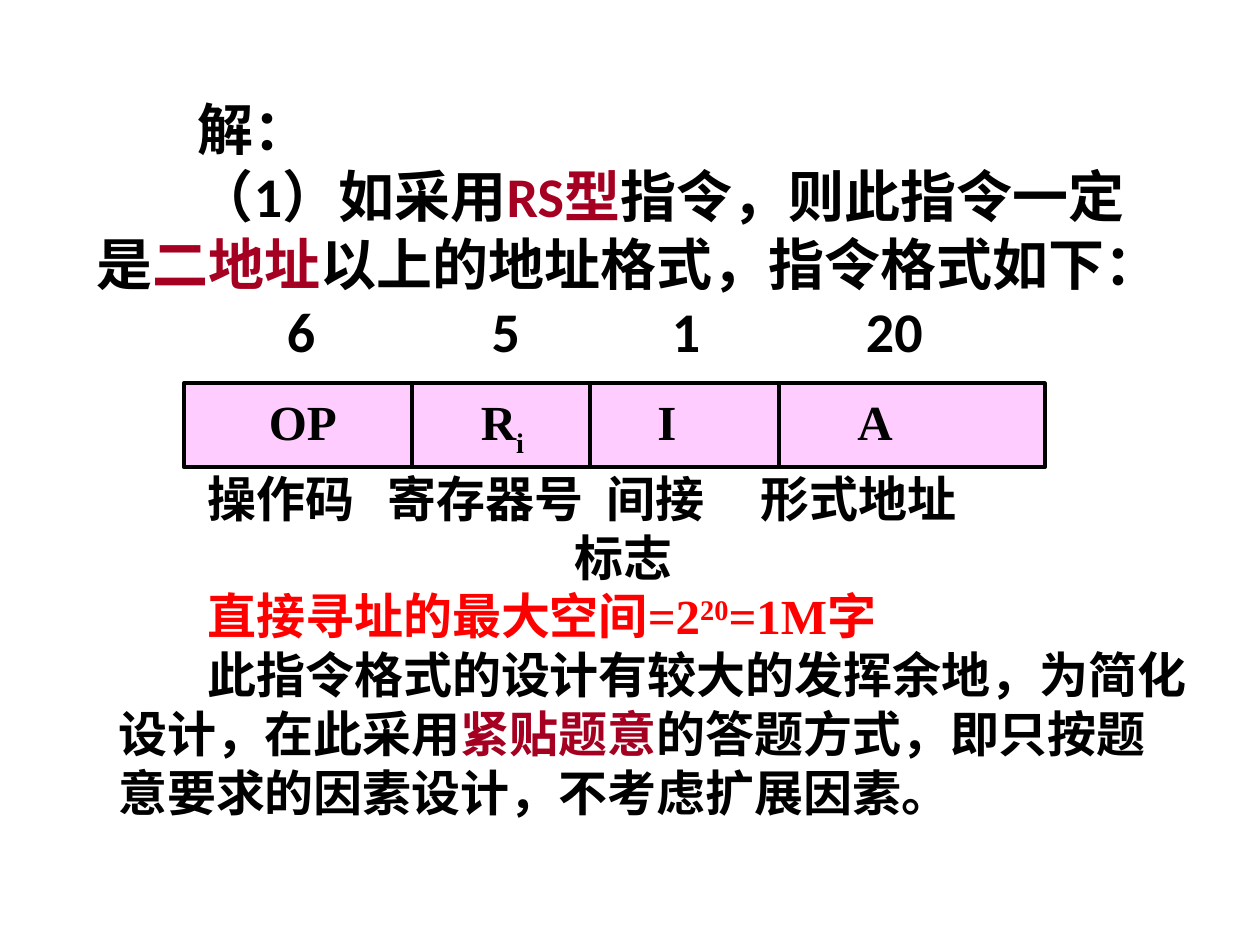
from lxml import etree
from pptx import Presentation
from pptx.dml.color import RGBColor
from pptx.enum import shapes, text
from pptx.oxml import ns
from pptx.util import Pt

COLORS = {"black": "000000", "crimson": "A50021", "red": "FF0000",
          "pink": "FFCCFF"}

# Instruction word: outer edges and the dividers between its fields
FIELD_EDGES = [105, 235.5, 337, 445, 597]
WORD_TOP, WORD_HEIGHT, LINE_WIDTH = 219, 48, 2.25


def color(name):
    return RGBColor.from_string(COLORS[name])


def setup_frame(shape, anchor):
    frame = shape.text_frame
    frame.word_wrap = True
    frame.vertical_anchor = anchor
    return frame


def add_paragraph(frame, runs, font, size, indent=0, tabs=(), align="l"):
    """Add runs of (words, colour, baseline shift in percent)."""
    first = frame.paragraphs[0]
    paragraph = frame.add_paragraph() if first.runs else first
    paragraph.alignment = text.PP_ALIGN.LEFT
    properties = paragraph._p.get_or_add_pPr()
    # An explicit zero indent would reset the tab stops
    if indent:
        properties.set("indent", str(Pt(indent)))
    if tabs:
        tab_list = etree.SubElement(properties, ns.qn("a:tabLst"))
        for position in tabs:
            etree.SubElement(tab_list, ns.qn("a:tab"),
                             pos=str(Pt(position)), algn=align)
    for words, color_name, shift in runs:
        run = paragraph.add_run()
        run.text = words
        run.font.name = font
        run.font.size = Pt(size)
        run.font.bold = True
        run.font.color.rgb = color(color_name)
        if shift:
            run._r.get_or_add_rPr().set("baseline", str(shift * 1000))


def add_text_box(slide, left, top, width, height, anchor):
    box = slide.shapes.add_textbox(Pt(left), Pt(top), Pt(width), Pt(height))
    return setup_frame(box, anchor)


def add_divider(slide, x):
    line = slide.shapes.add_connector(
        shapes.MSO_CONNECTOR.STRAIGHT,
        Pt(x), Pt(WORD_TOP), Pt(x), Pt(WORD_TOP + WORD_HEIGHT))
    line.line.color.rgb = color("black")
    line.line.width = Pt(LINE_WIDTH)
    etree.SubElement(line._element.spPr, ns.qn("a:effectLst"))


def add_instruction_word(slide):
    left, *dividers, right = FIELD_EDGES
    bar = slide.shapes.add_shape(
        shapes.MSO_SHAPE.RECTANGLE,
        Pt(left), Pt(WORD_TOP), Pt(right - left), Pt(WORD_HEIGHT))
    bar.shadow.inherit = False
    bar.fill.solid()
    bar.fill.fore_color.rgb = color("pink")
    bar.line.color.rgb = color("black")
    bar.line.width = Pt(LINE_WIDTH)
    frame = setup_frame(bar, text.MSO_ANCHOR.MIDDLE)
    add_paragraph(frame, [("\tOP\tR", "black", 0), ("i", "black", -25),
                          ("\tI\tA", "black", 0)],
                  "Times New Roman", 28, tabs=(61, 175, 269, 388), align="ctr")
    for x in dividers:
        add_divider(slide, x)


def add_question_text(slide):
    frame = add_text_box(slide, 48, 26, 624, 210, text.MSO_ANCHOR.MIDDLE)
    frame.margin_right = Pt(16)
    style = {"font": "Calibri", "size": 32}
    add_paragraph(frame, [("解：", "black", 0)], indent=58, **style)
    add_paragraph(frame, [
        ("（1）如采用", "black", 0), ("RS型", "crimson", 0),
        ("指令，则此指令一定是", "black", 0), ("二地址", "crimson", 0),
        ("以上的地址格式，指令格式如下：", "black", 0)], indent=58, **style)
    # Bit widths above the fields
    add_paragraph(frame, [("\t6\t5\t1\t20", "black", 0)],
                  tabs=(117, 234, 337, 456), align="ctr", **style)


def add_explanation(slide):
    frame = add_text_box(slide, 60.5, 264, 629, 209, text.MSO_ANCHOR.TOP)
    style = {"font": "Times New Roman", "size": 28}
    # Field names below the fields
    add_paragraph(frame, [("\t操作码\t寄存器号\t间接\t形式地址", "black", 0)],
                  tabs=(51, 154, 279, 367), **style)
    add_paragraph(frame, [("\t标志", "black", 0)], tabs=(261,), **style)
    # Address range and remark
    add_paragraph(frame, [("直接寻址的最大空间=2", "red", 0),
                          ("20", "red", 30), ("=1M字", "red", 0)],
                  indent=51, **style)
    add_paragraph(frame, [
        ("此指令格式的设计有较大的发挥余地，为简化设计，在此采用", "black", 0),
        ("紧贴题意", "crimson", 0),
        ("的答题方式，即只按题意要求的因素设计，不考虑扩展因素。", "black", 0)],
        indent=51, **style)


def main():
    presentation = Presentation()
    presentation.slide_width = Pt(720)
    presentation.slide_height = Pt(540)
    slide = presentation.slides.add_slide(presentation.slide_layouts[6])
    add_question_text(slide)
    add_instruction_word(slide)
    add_explanation(slide)
    presentation.save("out.pptx")


if __name__ == "__main__":
    main()
